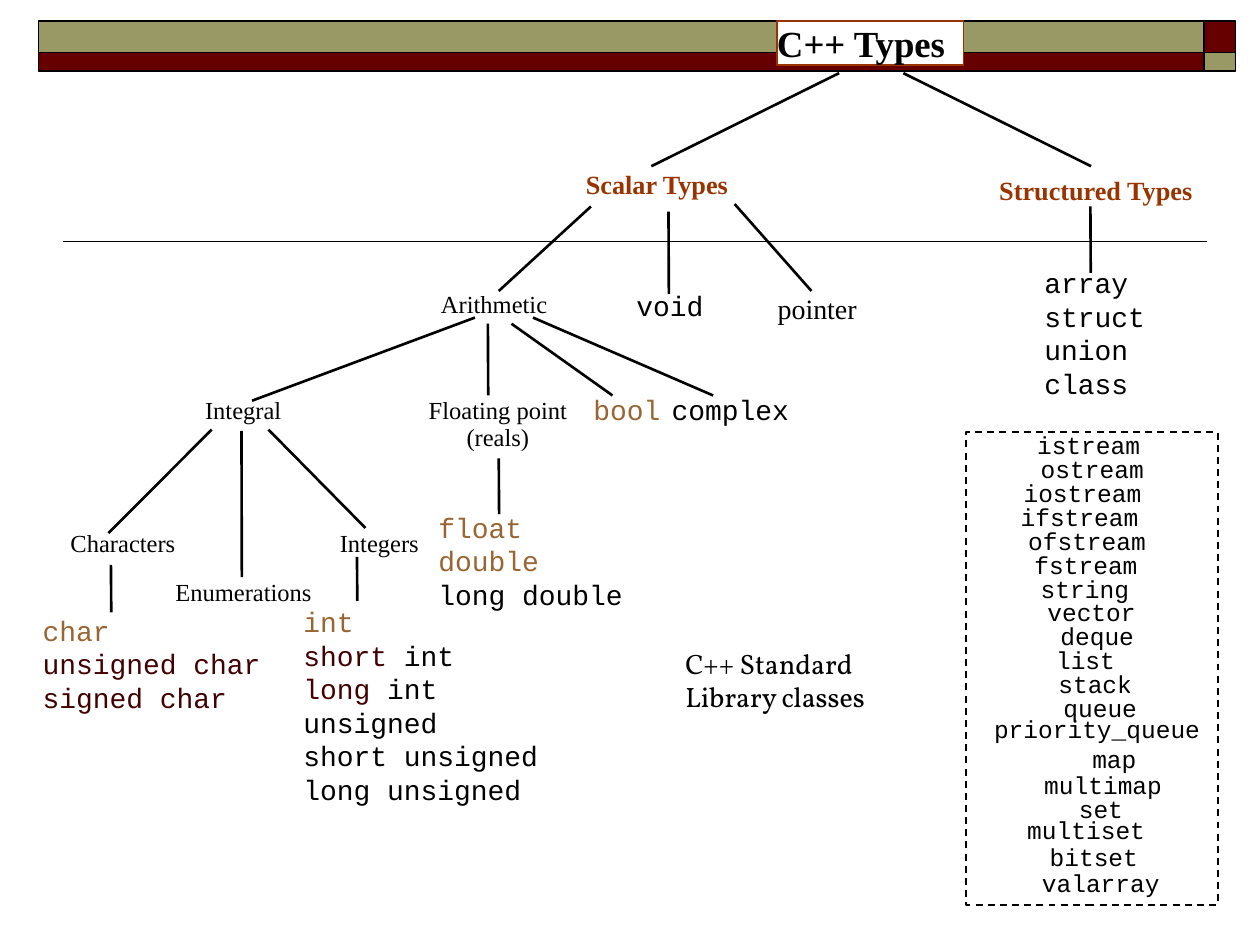
from lxml.etree import SubElement
from pptx import Presentation
from pptx.dml.color import RGBColor
from pptx.enum.dml import MSO_LINE
from pptx.enum.shapes import MSO_CONNECTOR, MSO_SHAPE
from pptx.enum.text import MSO_ANCHOR, MSO_AUTO_SIZE, PP_ALIGN
from pptx.oxml.ns import qn
from pptx.util import Pt

COLORS = {"black": "000000", "white": "FFFFFF", "maroon": "660000",
          "olive": "999966", "rust": "993300", "tan": "996633",
          "wine": "420000"}
SERIF, MONO, BOOK = "Times New Roman", "Courier New", "Vollkorn"

# Header bands: column (left, width), row (top, height), colours by row
BAND_COLUMNS = [(22, 666), (688, 18)]
BAND_ROWS = [(12, 18), (30, 10.8)]
BAND_COLORS = [("olive", "maroon"), ("maroon", "olive")]

TITLE = "C++ Types"
TITLE_BOX = (444, 12, 106.8, 25.2)

# Tree nodes: text, left, top, width
CATEGORIES = [("Scalar Types", 334.8, 96, 82.8),
              ("Structured Types", 571, 99.7, 112.3)]
KINDS = [("Arithmetic", 252, 165, 61.2), ("Integral", 117.2, 225.7, 47.5),
         ("Floating point", 245, 225.7, 82.8), ("(reals)", 266.6, 241.2, 36),
         ("Characters", 40.3, 301.7, 59.8), ("Integers", 194.2, 301.7, 45.4),
         ("Enumerations", 100.2, 329.8, 81.4)]
# Larger leaves: text, left, top, width, font, colour
LEAVES = [("void", 363.6, 165, 38.4, MONO, "black"),
          ("pointer", 444.4, 166.3, 45.4, SERIF, "black"),
          ("bool", 339.1, 224.2, 38.4, MONO, "tan"),
          ("complex", 383.8, 224.2, 67.2, MONO, "black")]

# Type lists: left, top, width, font, lines of (text, colour) runs
TYPE_LISTS = [
    (384.5, 365.8, 158.4, BOOK,
     [[("C++ Standard", "black")], [("Library classes", "black")]]),
    (589.7, 148.3, 72, MONO,
     [[(name, "black")] for name in ("array", "struct", "union", "class")]),
    (166.3, 342, 148.8, MONO,
     [[("int", "tan")],
      [("short", "wine"), (" int", "black")],
      [("long", "wine"), (" int", "black")],
      [("unsigned", "black")],
      [("short unsigned", "black")],
      [("long unsigned", "black")]]),
    (17.3, 347, 139.2, MONO,
     [[("char", "tan")], [("unsigned char", "wine")],
      [("signed char", "wine")]]),
    (243.4, 288, 120, MONO,
     [[("float", "tan")], [("double", "tan")], [("long double", "black")]]),
]

# Library classes: evenly stepped ones (name, left), then (name, left, top)
LIBRARY_TOP, LIBRARY_STEP = 246, 13.62
STEPPED_CLASSES = [
    ("istream", 592.6), ("ostream", 594.7), ("iostream", 584.9),
    ("ifstream", 583.2), ("ofstream", 587.5), ("fstream", 591.1),
    ("string", 594.7), ("vector", 598.5), ("deque", 606), ("list", 603.5),
    ("stack", 604.8), ("queue", 607.7)]
PLACED_CLASSES = [
    ("priority_queue", 568, 408.2), ("map", 624.2, 425),
    ("multimap", 596.7, 440), ("set", 616.5, 453.6),
    ("multiset", 587, 466), ("bitset", 599.8, 481), ("valarray", 595.4, 496)]
LIBRARY_FRAME = (552, 247, 144, 270)
MONO_ADVANCE = 0.6
WIDTH_SLACK = 2  # keeps each label on one line

RULE = (689.8, 138, 36, 138)
BRANCHES = [
    (479.5, 41.8, 372.2, 95), (516.2, 41.8, 623.5, 95),
    (337.7, 118, 285, 166.3), (382, 121, 382.2, 168),
    (419.8, 116.6, 463.7, 166.3), (623.1, 118, 623.3, 156),
    (271.4, 181.5, 144, 229), (278.8, 185, 279, 226),
    (292.3, 185, 350, 226), (304.6, 181.5, 407.5, 226),
    (121, 245.5, 62, 304.6), (138, 246.2, 138.2, 329.8),
    (153.4, 245.5, 208.8, 301.7), (285, 262, 285.2, 293.8),
    (63.4, 322.8, 63.6, 350), (204, 318.2, 204.2, 343.4)]


def color(name):
    return RGBColor.from_string(COLORS[name])


def add_line(shapes, ends, width):
    line = shapes.add_connector(MSO_CONNECTOR.STRAIGHT, *map(Pt, ends))
    line.line.color.rgb = color("black")
    line.line.width = Pt(width)
    SubElement(line.element.spPr, qn("a:effectLst"))


def add_box(shapes, box, fill=None, dash=None):
    rect = shapes.add_shape(MSO_SHAPE.RECTANGLE, *map(Pt, box))
    rect.shadow.inherit = False
    if fill:
        rect.fill.solid()
        rect.fill.fore_color.rgb = color(fill)
    else:
        rect.fill.background()
    rect.line.color.rgb = color("black")
    rect.line.width = Pt(1)
    if dash:
        rect.line.dash_style = dash


def write(shape, lines, font=SERIF, size=14, bold=False, inset=(0, 0)):
    """Fill a shape with lines, each a list of (text, colour) runs."""
    frame = shape.text_frame
    frame.margin_left = frame.margin_right = Pt(inset[0])
    frame.margin_top = frame.margin_bottom = Pt(inset[1])
    frame.word_wrap = True
    frame.vertical_anchor = MSO_ANCHOR.TOP
    frame.auto_size = MSO_AUTO_SIZE.NONE
    for index, runs in enumerate(lines):
        paragraph = frame.add_paragraph() if index else frame.paragraphs[0]
        paragraph.alignment = PP_ALIGN.LEFT
        for text, shade in runs:
            run = paragraph.add_run()
            run.text = text
            run.font.name, run.font.size = font, Pt(size)
            run.font.bold = bold
            run.font.color.rgb = color(shade)


def add_text(shapes, lines, left, top, width, size=14, inset=(0, 0), **style):
    height = len(lines) * size * 1.2 + 2 * inset[1]
    box = shapes.add_textbox(
        *map(Pt, (left, top, width + WIDTH_SLACK, height)))
    write(box, lines, size=size, inset=inset, **style)


def place_title(title):
    title.left, title.top, title.width, title.height = map(Pt, TITLE_BOX)
    title.fill.solid()
    title.fill.fore_color.rgb = color("white")
    title.line.color.rgb = color("rust")
    title.line.width = Pt(0.75)
    write(title, [[(TITLE, "black")]], size=21, bold=True)
    title.element.getparent().append(title.element)  # in front of the bands


def main():
    deck = Presentation()
    deck.slide_width, deck.slide_height = Pt(720), Pt(540)
    slide = deck.slides.add_slide(deck.slide_layouts[5])
    shapes = slide.shapes

    add_line(shapes, RULE, 1)
    for (top, height), fills in zip(BAND_ROWS, BAND_COLORS):
        for (left, width), fill in zip(BAND_COLUMNS, fills):
            add_box(shapes, (left, top, width, height), fill)
    place_title(shapes.title)

    for ends in BRANCHES:
        add_line(shapes, ends, 1.5)
    for text, *place in CATEGORIES:
        add_text(shapes, [[(text, "rust")]], *place, size=15, bold=True)
    for text, *place in KINDS:
        add_text(shapes, [[(text, "black")]], *place)
    for text, left, top, width, font, shade in LEAVES:
        add_text(shapes, [[(text, shade)]], left, top, width, size=16,
                 font=font)

    stepped = [(name, left, LIBRARY_TOP + row * LIBRARY_STEP)
               for row, (name, left) in enumerate(STEPPED_CLASSES)]
    for name, left, top in stepped + PLACED_CLASSES:
        add_text(shapes, [[(name, "black")]], left, top,
                 len(name) * 14 * MONO_ADVANCE, font=MONO)
    add_box(shapes, LIBRARY_FRAME, dash=MSO_LINE.DASH)

    for left, top, width, font, lines in TYPE_LISTS:
        add_text(shapes, lines, left, top, width, size=16, font=font,
                 inset=(7.2, 3.6))
    deck.save("out.pptx")


if __name__ == "__main__":
    main()
